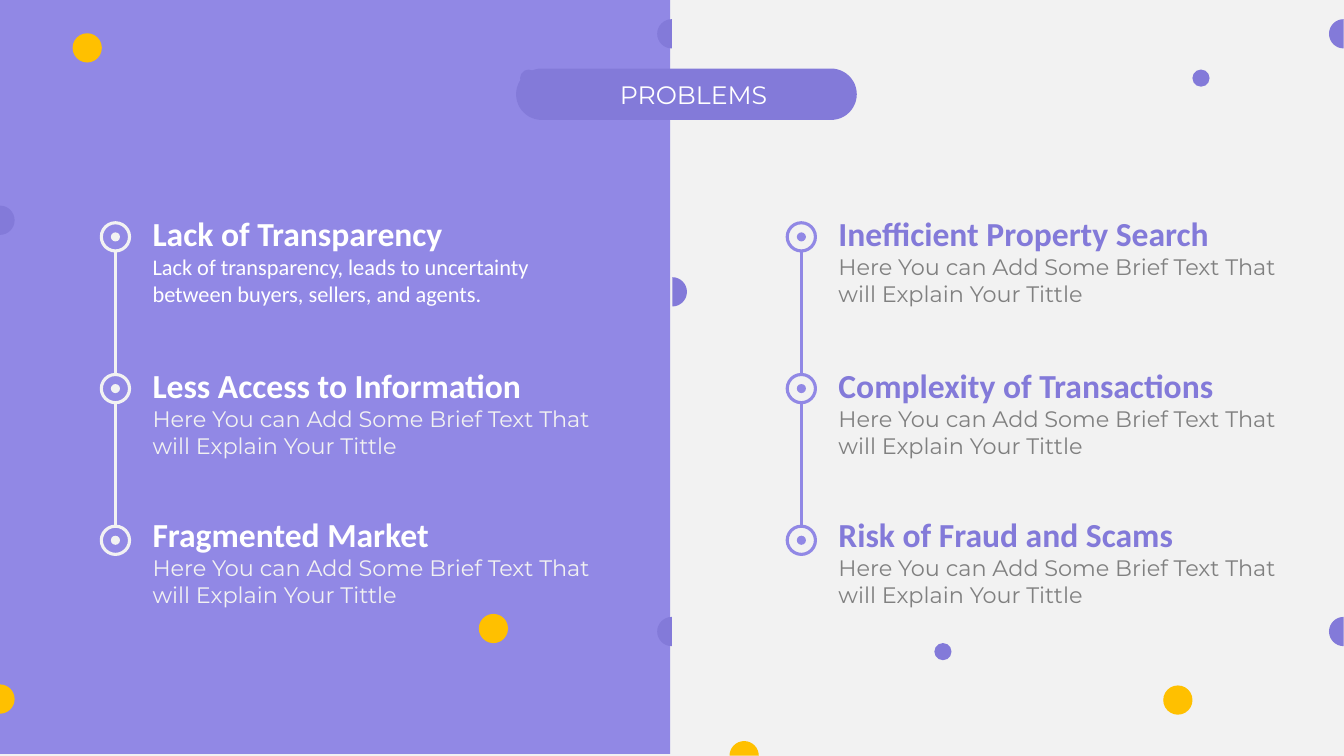
from lxml.etree import SubElement
from pptx import Presentation
from pptx.dml.color import RGBColor
from pptx.enum.shapes import MSO_CONNECTOR, MSO_SHAPE as Preset
from pptx.enum.text import MSO_ANCHOR, MSO_AUTO_SIZE, PP_ALIGN
from pptx.oxml.ns import qn
from pptx.util import Inches, Pt

LAVENDER = RGBColor(0x91, 0x88, 0xE5)
VIOLET = RGBColor(0x83, 0x7A, 0xD9)
AMBER = RGBColor(0xFF, 0xC0, 0x00)
PALE = RGBColor(0xF2, 0xF2, 0xF2)
WHITE = RGBColor(0xFF, 0xFF, 0xFF)
GRAY = RGBColor(0x80, 0x80, 0x80)

CELL = Inches(0.5)
LARGE, SMALL = 0.58, 0.34
RADIUS = LARGE / 2
BEND = 0.55 * RADIUS
RING, CORE = 0.56, 0.18
FIRST_ROW, ROW_PITCH = 4.7, 3.01
TITLE_ROWS = 4.12, 7.14, 10.1
FILLER = "Here You can Add Some Brief Text That will Explain Your Tittle"


def grid(*cells):
    return [round(cell * CELL) for cell in cells]


def add_flat(preset, left, top, width, height, fill=None, line=None):
    shape = slide.shapes.add_shape(preset, *grid(left, top, width, height))
    shape.shadow.inherit = False
    if fill is None:
        shape.fill.background()
    else:
        shape.fill.solid()
        shape.fill.fore_color.rgb = fill
    if line is None:
        shape.line.fill.background()
    else:
        shape.line.color.rgb = line
        shape.line.width = Pt(2.25)
    return shape


presentation = Presentation()
presentation.slide_height = Inches(7.5)
presentation.slide_width = presentation.slide_height * 16 // 9
slide = presentation.slides.add_slide(presentation.slide_layouts[5])
slide.background.fill.solid()
slide.background.fill.fore_color.rgb = PALE

add_flat(Preset.RECTANGLE, -0.04, -0.04, 13.34, 15, LAVENDER)
pill = add_flat(Preset.ROUNDED_RECTANGLE, 10.24, 1.36, 6.76, 1.02, VIOLET)
pill.adjustments[0] = 0.5

title = slide.shapes.title
title.left, title.top, title.width, title.height = grid(10.5, 1.48, 6.52, 0.8)
title.text_frame.text = "PROBLEMS"
title.text_frame.auto_size = MSO_AUTO_SIZE.NONE
title.text_frame.vertical_anchor = MSO_ANCHOR.MIDDLE
heading = title.text_frame.paragraphs[0]
heading.alignment = PP_ALIGN.CENTER
heading.font.name = "Montserrat"
heading.font.size = Pt(18)
heading.font.color.rgb = WHITE
pill.element.addnext(title.element)

dots = [
    (1.73, 0.95, LARGE, AMBER),
    (10.49, 1.55, SMALL, VIOLET),
    (9.79, 12.47, LARGE, AMBER),
    (18.71, 12.93, SMALL, VIOLET),
    (23.83, 1.55, SMALL, VIOLET),
    (23.37, 13.89, LARGE, AMBER),
]
for x, y, size, color in dots:
    add_flat(Preset.OVAL, x - size / 2, y - size / 2, size, size, color)

half_dots = [
    (0, 13.58, 180, AMBER),
    (0, 4.08, 180, VIOLET),
    (13.34, 5.5, 180, VIOLET),
    (13.04, 0.38, 0, VIOLET),
    (13.04, 12.24, 0, VIOLET),
    (26.37, 0.38, 0, VIOLET),
    (26.37, 12.24, 0, VIOLET),
    (14.62, 14.56, 90, AMBER),
]
half_outline = [
    (RADIUS, 0), (RADIUS, LARGE),
    (RADIUS - BEND, LARGE), (0, RADIUS + BEND), (0, RADIUS),
    (0, RADIUS - BEND), (RADIUS - BEND, 0), (RADIUS, 0),
]
for left, top, rotation, color in half_dots:
    points = [grid(left + x, top + y) for x, y in half_outline]
    builder = slide.shapes.build_freeform(*points[0])
    builder.add_line_segments(points[1:], close=True)
    half_dot = builder.convert_to_shape()
    corners = list(half_dot.element.iter(qn("a:lnTo")))
    for first in (1, 4):
        curve = SubElement(corners[0].getparent(), qn("a:cubicBezTo"))
        corners[first].addprevious(curve)
        for corner in corners[first:first + 3]:
            curve.append(corner[0])
            corner.getparent().remove(corner)
    half_dot.rotation = rotation
    half_dot.shadow.inherit = False
    half_dot.fill.solid()
    half_dot.fill.fore_color.rgb = color
    half_dot.line.fill.background()

timelines = [
    (2.29, PALE, WHITE, [
        ("Lack of Transparency", "Lack of transparency, leads to uncertainty "
         "between buyers, sellers, and agents.", "Calibri", WHITE),
        ("Less Access to Information", FILLER, "Montserrat", PALE),
        ("Fragmented Market", FILLER, "Montserrat", PALE),
    ]),
    (15.9, LAVENDER, VIOLET, [
        ("Inefficient Property Search", FILLER, "Montserrat", GRAY),
        ("Complexity of Transactions", FILLER, "Montserrat", GRAY),
        ("Risk of Fraud and Scams", FILLER, "Montserrat", GRAY),
    ]),
]
for x, marker_color, title_color, problems in timelines:
    for index, (name, detail, body_font, detail_color) in enumerate(problems):
        y = FIRST_ROW + index * ROW_PITCH
        if index:
            connector = slide.shapes.add_connector(
                MSO_CONNECTOR.STRAIGHT,
                *grid(x, y - ROW_PITCH + RING / 2, x, y - RING / 2))
            connector.line.color.rgb = marker_color
            connector.line.width = Pt(2.25)
            SubElement(connector.element.spPr, qn("a:effectLst"))
        add_flat(Preset.OVAL, x - CORE / 2, y - CORE / 2, CORE, CORE, marker_color)
        add_flat(Preset.OVAL, x - RING / 2, y - RING / 2, RING, RING, line=marker_color)

        top = TITLE_ROWS[index]
        texts = [
            (name, top, 8.68, 1, "Calibri", 24, True, title_color),
            (detail, top + 0.8, 9.1, 1.28, body_font, 16, False, detail_color),
        ]
        for text, text_top, width, height, font, size, bold, color in texts:
            box = slide.shapes.add_textbox(*grid(x + 0.54, text_top, width, height))
            box.text_frame.word_wrap = True
            box.text_frame.text = text
            paragraph = box.text_frame.paragraphs[0]
            paragraph.font.name = font
            paragraph.font.size = Pt(size)
            paragraph.font.bold = bold
            paragraph.font.color.rgb = color

presentation.save("out.pptx")
